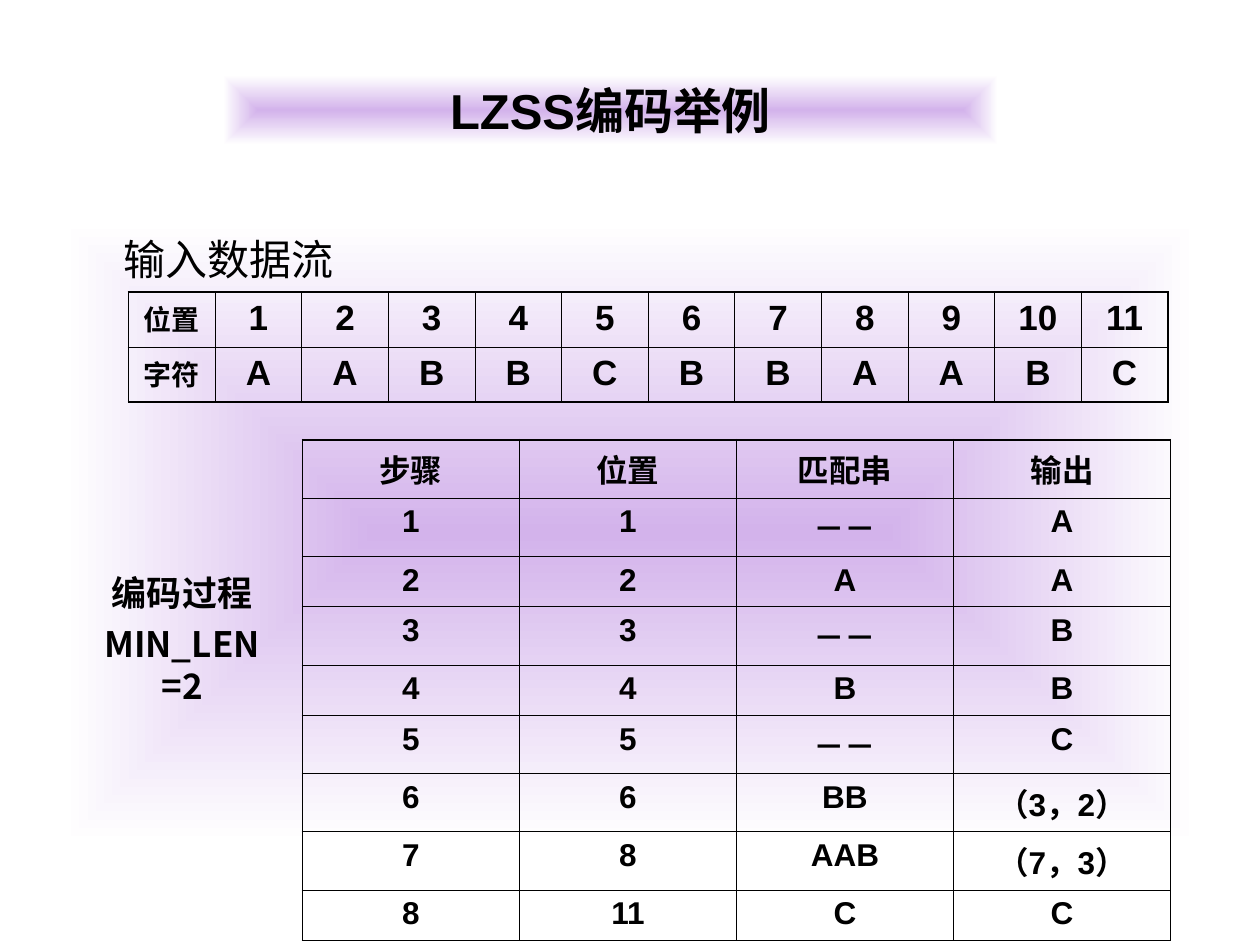
from dataclasses import dataclass

from lxml import etree
from pptx import Presentation
from pptx.dml.color import RGBColor
from pptx.enum.shapes import MSO_SHAPE
from pptx.enum.text import MSO_ANCHOR, PP_ALIGN
from pptx.oxml import parse_xml
from pptx.oxml.ns import nsdecls, qn
from pptx.util import Inches, Pt

RECTANGLE = MSO_SHAPE.RECTANGLE
TOP, MIDDLE = MSO_ANCHOR.TOP, MSO_ANCHOR.MIDDLE
LEFT, CENTER = PP_ALIGN.LEFT, PP_ALIGN.CENTER

# The slide is a grid of 100 columns by 75 rows
COLUMNS, ROWS = 100, 75
UNIT = Inches(0.1)


@dataclass(frozen=True)
class Theme:
    ink: str = "000000"
    glow: str = "D3B3EB"
    paper: str = "FFFFFF"
    latin: str = "Arial"
    chinese: str = "Noto Sans CJK SC"
    title: int = 28
    heading: int = 24
    body: int = 20
    steps: int = 18
    label: int = 16
    outer_line: float = 1.08
    inner_line: float = 0.45


THEME = Theme()

STREAM = "AABBCBBAABC"
STEPS = [
    ("步骤", "位置", "匹配串", "输出"),
    ("1", "1", "－－", "A"),
    ("2", "2", "A", "A"),
    ("3", "3", "－－", "B"),
    ("4", "4", "B", "B"),
    ("5", "5", "－－", "C"),
    ("6", "6", "BB", "（3，2）"),
    ("7", "8", "AAB", "（7，3）"),
    ("8", "11", "C", "C"),
]


def place(box):
    """Turn grid columns and rows into slide lengths."""
    return [round(length * UNIT) for length in box]


def format_text(text_frame, size, bold=True, align=CENTER, latin=THEME.latin):
    for paragraph in text_frame.paragraphs:
        paragraph.alignment = align
        for run in paragraph.runs:
            font = run.font
            font.size, font.bold, font.name = Pt(size), bold, latin
            font.color.rgb = RGBColor.from_string(THEME.ink)
            east_asian = etree.SubElement(run._r.get_or_add_rPr(), qn("a:ea"))
            east_asian.set("typeface", THEME.chinese)


def add_glow(slide, box, text, anchor):
    """Rectangle that fades from its centre to the paper colour."""
    shape = slide.shapes.add_shape(RECTANGLE, *place(box))
    shape.shadow.inherit = False
    shape.line.fill.background()
    shape.fill.background()
    properties = shape._element.spPr
    properties.replace(properties.find(qn("a:noFill")), parse_xml(
        f'<a:gradFill {nsdecls("a")} rotWithShape="1"><a:gsLst>'
        f'<a:gs pos="0"><a:srgbClr val="{THEME.glow}"/></a:gs>'
        f'<a:gs pos="100000"><a:srgbClr val="{THEME.paper}"/></a:gs></a:gsLst>'
        '<a:path path="rect"><a:fillToRect l="50000" t="50000" r="50000" b="50000"/>'
        '</a:path></a:gradFill>'))
    shape.text_frame.text = text
    shape.text_frame.word_wrap = True
    shape.text_frame.vertical_anchor = anchor
    return shape.text_frame


def add_title(slide, box):
    format_text(add_glow(slide, box, "LZSS编码举例", MIDDLE), THEME.title)


def add_body(slide, box):
    text_frame = add_glow(slide, box, "输入数据流", TOP)
    text_frame.margin_left, text_frame.margin_top = Inches(0.48), Inches(0.1)
    format_text(text_frame, THEME.heading, bold=False, align=LEFT)


def set_borders(cell, outer_sides):
    properties = cell._tc.get_or_add_tcPr()
    for side in "LRTB":
        width = THEME.outer_line if side in outer_sides else THEME.inner_line
        properties.append(parse_xml(
            f'<a:ln{side} {nsdecls("a")} w="{Pt(width)}"><a:solidFill>'
            f'<a:srgbClr val="{THEME.ink}"/></a:solidFill></a:ln{side}>'))


def add_grid(slide, box, rows, size, label_size):
    """Ruled table; label_size is for the first column."""
    row_count, column_count = len(rows), len(rows[0])
    table = slide.shapes.add_table(row_count, column_count, *place(box)).table
    table.first_row = table.horz_banding = False
    for row_index, row in enumerate(rows):
        for column_index, text in enumerate(row):
            cell = table.cell(row_index, column_index)
            edges = {"L": column_index == 0, "R": column_index == column_count - 1,
                     "T": row_index == 0, "B": row_index == row_count - 1}
            set_borders(cell, [side for side, outer in edges.items() if outer])
            cell.fill.background()
            cell.text_frame.text = text
            format_text(cell.text_frame, size if column_index else label_size)


def add_stream_table(slide, box):
    positions = [str(position) for position in range(1, len(STREAM) + 1)]
    rows = [["位置", *positions], ["字符", *STREAM]]
    add_grid(slide, box, rows, THEME.body, THEME.label)


def add_step_table(slide, box):
    add_grid(slide, box, STEPS, THEME.steps, THEME.steps)


def add_process_label(slide, box):
    text_frame = slide.shapes.add_textbox(*place(box)).text_frame
    text_frame.word_wrap = True
    text_frame.text = "编码过程\nMIN_LEN =2"
    text_frame.paragraphs[1].space_before = Pt(5)
    format_text(text_frame, THEME.body, latin=THEME.chinese)


def main():
    presentation = Presentation()
    presentation.slide_width = COLUMNS * UNIT
    presentation.slide_height = ROWS * UNIT
    slide = presentation.slides.add_slide(presentation.slide_layouts[6])
    # Title and background panel
    add_title(slide, (17.7, 6, 61.5, 5.5))
    add_body(slide, (5, 17.5, 90, 49.5))
    # Input stream, encoding steps and their label
    add_stream_table(slide, (10.2, 23.2, 82.5, 8.7))
    add_step_table(slide, (24, 34.9, 68.9, 36))
    add_process_label(slide, (5.7, 44.9, 17.5, 11.7))
    presentation.save("out.pptx")


if __name__ == "__main__":
    main()
